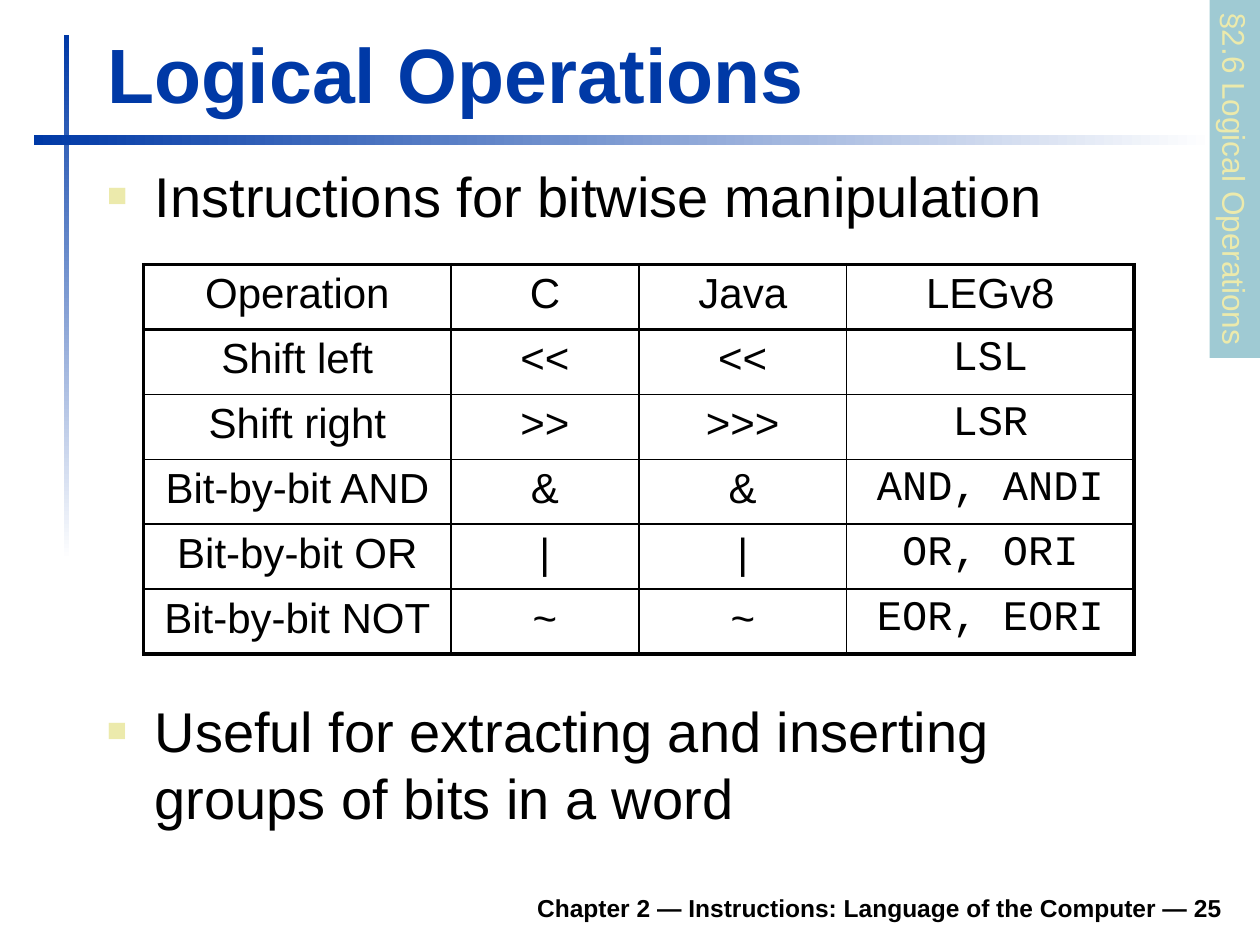
from lxml import etree
from pptx import Presentation
from pptx import util as u
from pptx.dml import color
from pptx.enum import shapes, text
from pptx.oxml import ns

BLUE, CREAM, TEAL, BLACK, WHITE = "0039A6", "ECEAAC", "9FCAD3", "000000", "FFFFFF"
SANS, MONO = "Arial", "Courier New"
WIDE, HIGH = u.Inches(10), u.Inches(7.5)

ROWS = [
    ("Operation", "C", "Java", "LEGv8"),
    ("Shift left", "<<", "<<", "LSL"),
    ("Shift right", ">>", ">>>", "LSR"),
    ("Bit-by-bit AND", "&", "&", "AND, ANDI"),
    ("Bit-by-bit OR", "|", "|", "OR, ORI"),
    ("Bit-by-bit NOT", "~", "~", "EOR, EORI"),
]
COLS = (24.4, 14.9, 16.5, 22.8)  # percent of slide width
THIN, RULE, EDGE = 1, 1.5, 2.25  # border widths in points


def rgb(code):
    return color.RGBColor.from_string(code)


def area(left, top, wide, high):
    """Turn percentages of the slide into lengths."""
    return (int(WIDE * left / 100), int(HIGH * top / 100),
            int(WIDE * wide / 100), int(HIGH * high / 100))


def place(shape, box):
    shape.left, shape.top, shape.width, shape.height = box


def node(up, tag, **attrs):
    return etree.SubElement(up, ns.qn(tag), attrs)


def write(frame, words, size, shade=BLACK, font=SANS, bold=False, align="LEFT"):
    para = frame.paragraphs[0]
    para.alignment = getattr(text.PP_ALIGN, align)
    run = para.add_run()
    run.text = words
    run.font.size, run.font.name, run.font.bold = u.Pt(size), font, bold
    run.font.color.rgb = rgb(shade)
    return para


def lead(para):
    """Space of 20% before a paragraph."""
    props = para._p.get_or_add_pPr()
    node(node(props, "a:spcBef"), "a:spcPct", val="20000")
    return props


def point(frame, words):
    """One square-bulleted item."""
    frame.word_wrap = True
    frame.auto_size = text.MSO_AUTO_SIZE.NONE
    props = lead(write(frame, words, 32))
    inset = u.Inches(0.38)
    props.set("marL", str(inset))
    props.set("indent", str(-inset))
    node(node(props, "a:buClr"), "a:srgbClr", val=CREAM)
    node(props, "a:buSzPct", val="60000")
    node(props, "a:buFont", typeface=SANS)
    node(props, "a:buChar", char="■")


def block(slide, box):
    shape = slide.shapes.add_shape(shapes.MSO_SHAPE.RECTANGLE, *box)
    shape.shadow.inherit = False
    shape.line.fill.background()
    return shape


def bar(slide, box, angle):
    """Rule that fades from blue to white."""
    fill = block(slide, box).fill
    fill.gradient()
    fill.gradient_angle = angle
    for stop, shade in zip(fill.gradient_stops, (BLUE, WHITE)):
        stop.color.rgb = rgb(shade)


def head(slide, box):
    title = slide.shapes.title
    place(title, box)
    frame = title.text_frame
    frame.word_wrap = True
    frame.auto_size = text.MSO_AUTO_SIZE.NONE
    frame.vertical_anchor = text.MSO_ANCHOR.BOTTOM
    write(frame, "Logical Operations", 44, BLUE, bold=True)


def foot(slide, box):
    frame = slide.shapes.add_textbox(*box).text_frame
    frame.word_wrap = True
    frame.vertical_anchor = text.MSO_ANCHOR.BOTTOM
    write(frame, "Chapter 2 — Instructions: Language of the Computer — 25",
          14, bold=True, align="RIGHT")


def tab(slide, box):
    """Section label turned along the right edge."""
    shape = block(slide, box)
    shape.rotation = 90
    shape.fill.solid()
    shape.fill.fore_color.rgb = rgb(TEAL)
    frame = shape.text_frame
    frame.word_wrap = False
    frame.auto_size = text.MSO_AUTO_SIZE.SHAPE_TO_FIT_TEXT
    frame.vertical_anchor = text.MSO_ANCHOR.TOP
    write(frame, "§2.6 Logical Operations", 18, CREAM)


def border(cell, row, col):
    """Heavy outer edge, medium rule under the header, thin elsewhere."""
    props = cell._tc.get_or_add_tcPr()
    sides = {
        "L": EDGE if col == 0 else THIN,
        "R": EDGE if col == len(COLS) - 1 else THIN,
        "T": {0: EDGE, 1: RULE}.get(row, THIN),
        "B": {0: RULE, len(ROWS) - 1: EDGE}.get(row, THIN),
    }
    for side, size in sides.items():
        line = node(props, "a:ln" + side, w=str(u.Pt(size)))
        node(node(line, "a:solidFill"), "a:srgbClr", val=BLACK)


def grid(slide, box):
    table = slide.shapes.add_table(len(ROWS), len(COLS), *box).table
    table.first_row = table.horz_banding = False
    for col, share in zip(table.columns, COLS):
        col.width = int(WIDE * share / 100)
    for r, items in enumerate(ROWS):
        table.rows[r].height = box[3] // len(ROWS)
        for c, words in enumerate(items):
            cell = table.cell(r, c)
            font = MONO if r and c == len(COLS) - 1 else SANS
            lead(write(cell.text_frame, words, 24, font=font, align="CENTER"))
            border(cell, r, c)
            cell.fill.background()


def main():
    deck = Presentation()
    deck.slide_width, deck.slide_height = WIDE, HIGH
    slide = deck.slides.add_slide(deck.slide_layouts[1])

    # Frame of the page
    bar(slide, area(5.1, 3.73, 0.4, 55.6), 270)
    bar(slide, area(2.7, 14.27, 93.7, 1.07), 0)
    foot(slide, area(18.5, 93.07, 79.5, 5.2))

    # Title and first point
    head(slide, area(7.5, 2.13, 90.3, 11.07))
    body = slide.placeholders[1]
    place(body, area(7.5, 16.4, 90.5, 10.13))
    point(body.text_frame, "Instructions for bitwise manipulation")

    # Table, second point and section tab
    grid(slide, area(11.4, 28, sum(COLS), 41.2))
    note = slide.shapes.add_textbox(*area(7.5, 73.07, 85, 15.73))
    point(note.text_frame,
          "Useful for extracting and inserting groups of bits in a word")
    tab(slide, area(83.8, 16.27, 28.4, 5.33))

    deck.save("out.pptx")


if __name__ == "__main__":
    main()
